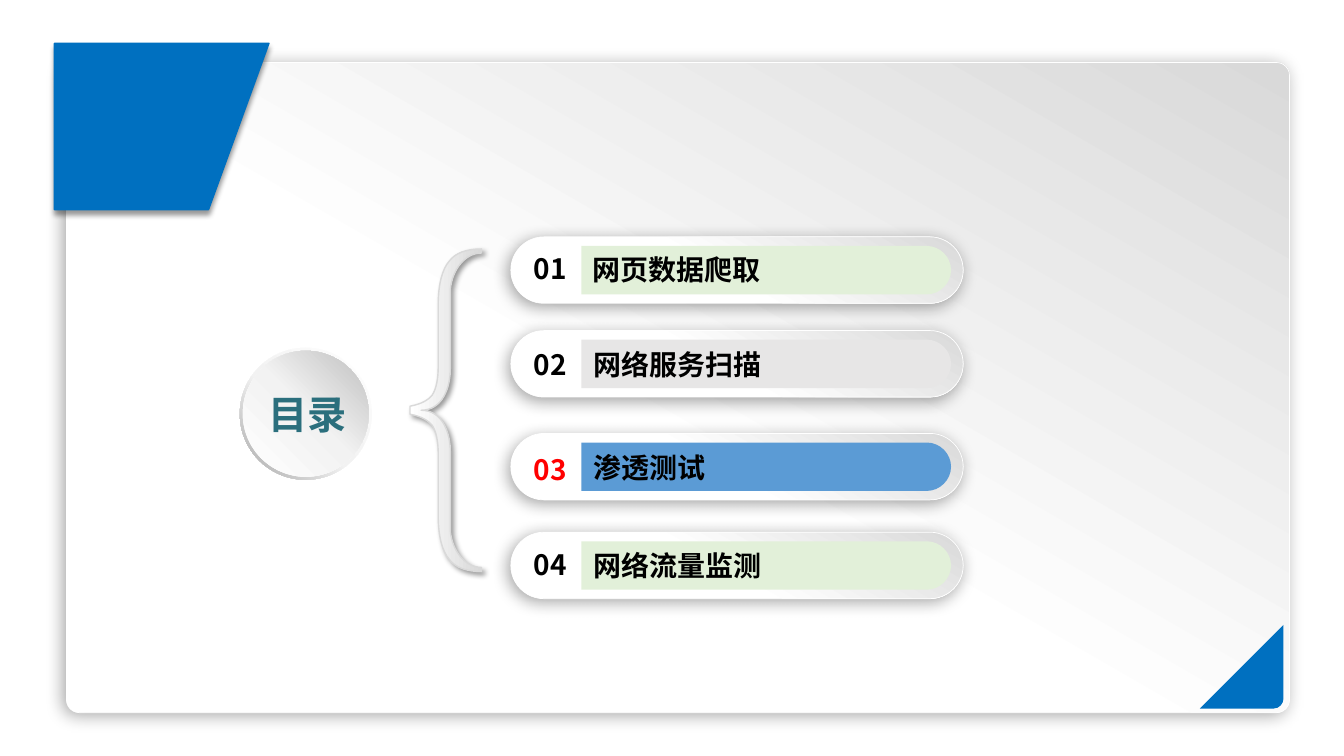
from pptx import Presentation
from pptx.dml.color import RGBColor
from pptx.enum.shapes import MSO_SHAPE as PRESET
from pptx.enum.text import MSO_ANCHOR as ANCHOR, MSO_AUTO_SIZE as AUTO, PP_ALIGN as ALIGN
from pptx.oxml import parse_xml
from pptx.oxml.ns import nsdecls, qn
from pptx.util import Inches, Pt

TYPEFACE = "Noto Sans CJK SC"
BLUE = "0070C0"
CARD = {
    "fill": ([(45, "FFFFFF"), (100, "D9D9D9")], 300),
    "line": ("FFFFFF", 0.5),
    "shadow": (34, 12, 3, 135),
}
TOPICS = [
    ("01", "网页数据爬取", 2.35, "E2F0D9", "000000", (5.2, 2.45), (5.78, 2.46)),
    ("02", "网络服务扫描", 3.28, "E7E6E6", "000000", (5.2, 3.4), (5.79, 3.4)),
    ("03", "渗透测试", 4.3, "5B9BD5", "FF0000", (5.2, 4.44), (5.79, 4.42)),
    ("04", "网络流量监测", 5.28, "E2F0D9", "000000", (5.2, 5.38), (5.79, 5.39)),
]


def color(code):
    """Turn a hex string into a colour."""
    return RGBColor.from_string(code)


def paint_gradient(shape, stops, clockwise):
    """Fill a shape with a linear gradient running at a clockwise angle."""
    shape.fill.gradient()
    shape.fill.gradient_angle = (360 - clockwise) % 360
    stop_list = shape.element.spPr.find(qn("a:gradFill")).find(qn("a:gsLst"))
    for default_stop in list(stop_list):
        stop_list.remove(default_stop)
    for percent, code in stops:
        stop_list.append(parse_xml(
            f'<a:gs {nsdecls("a")} pos="{percent * 1000}"><a:srgbClr val="{code}"/></a:gs>'))


def cast_shadow(shape, opacity, blur, distance, direction):
    """Give a shape a soft black outer shadow."""
    effects = shape.element.spPr.find(qn("a:effectLst"))
    effects.append(parse_xml(
        f'<a:outerShdw {nsdecls("a")} blurRad="{Pt(blur)}" dist="{Pt(distance)}" '
        f'dir="{direction * 60000}" algn="ctr" rotWithShape="0"><a:srgbClr val="000000">'
        f'<a:alpha val="{opacity * 1000}"/></a:srgbClr></a:outerShdw>'))


def style(shape, fill, line=None, shadow=None):
    """Set the fill, outline and shadow of a shape."""
    shape.shadow.inherit = False
    if isinstance(fill, str):
        shape.fill.solid()
        shape.fill.fore_color.rgb = color(fill)
    else:
        paint_gradient(shape, *fill)
    if line:
        shape.line.color.rgb = color(line[0])
        shape.line.width = Pt(line[1])
    else:
        shape.line.fill.background()
    if shadow:
        cast_shadow(shape, *shadow)


def add_preset(canvas, preset, box, adjustment=None, **look):
    """Add a styled preset shape."""
    shape = canvas.add_shape(preset, *map(Inches, box))
    if adjustment is not None:
        shape.adjustments[0] = adjustment
    style(shape, **look)


def point_pairs(step):
    """Split a flat step into its x and y pairs."""
    return list(zip(step[::2], step[1::2]))


def add_outline(canvas, steps, **look):
    """Add a styled closed freeform of corners and cubic curves."""
    corners = [tuple(map(Inches, step[-2:])) for step in steps]
    builder = canvas.build_freeform(*corners[0], scale=1.0)
    builder.add_line_segments(corners[1:], close=True)
    shape = builder.convert_to_shape()
    left, top = (min(values) for values in zip(*corners))
    segments = list(next(shape.element.iter(qn("a:path"))))
    for step, segment in zip(steps, segments):
        if len(step) == 6:
            points = "".join(f'<a:pt x="{Inches(x) - left}" y="{Inches(y) - top}"/>'
                             for x, y in point_pairs(step))
            segment.getparent().replace(segment, parse_xml(
                f'<a:cubicBezTo {nsdecls("a")}>{points}</a:cubicBezTo>'))
    style(shape, **look)


def mirror(steps, axis):
    """Return the steps reversed and flipped about a horizontal axis."""
    def flip(pairs):
        return tuple(value for x, y in pairs for value in (x, 2 * axis - y))

    flipped = [flip([steps[-1][-2:]])]
    for before, step in zip(steps[-2::-1], steps[:0:-1]):
        flipped.append(flip(point_pairs(step)[-2::-1] * (len(step) == 6) + [before[-2:]]))
    return flipped


def write(holder, text, size, code, align=ALIGN.LEFT):
    """Write one bold line into a text holder."""
    paragraph = holder.text_frame.paragraphs[0]
    paragraph.alignment = align
    run = paragraph.add_run()
    run.text = text
    formats = {"size": Pt(size), "bold": True, "name": TYPEFACE}
    for key, value in formats.items():
        setattr(run.font, key, value)
    run.font.color.rgb = color(code)
    run.font._element.append(parse_xml(f'<a:ea {nsdecls("a")} typeface="{TYPEFACE}"/>'))


def add_label(canvas, box, text, code):
    """Add an unwrapped line of topic text."""
    label = canvas.add_textbox(*map(Inches, box))
    label.text_frame.word_wrap = False
    label.text_frame.auto_size = AUTO.SHAPE_TO_FIT_TEXT
    write(label, text, 20, code)


def add_topic(slide, number, name, top, band_color, number_color, number_at, name_at):
    """Add one grouped agenda pill with its number and name."""
    canvas = slide.shapes.add_group_shape().shapes
    add_preset(canvas, PRESET.ROUNDED_RECTANGLE, (5.07, top, 4.49, 0.66), 0.5, **CARD)
    upper, middle, lower = top + 0.09, top + 0.33, top + 0.57
    band = [(5.77, upper), (9.2, upper),
            (9.33, upper, 9.44, middle - 0.13, 9.44, middle),
            (9.44, middle + 0.13, 9.33, lower, 9.2, lower), (5.77, lower)]
    add_outline(canvas, band, fill=band_color)
    add_label(canvas, (*number_at, 0.55, 0.44), number, number_color)
    add_label(canvas, (*name_at, 0.2 + 0.28 * len(name), 0.44), name, "000000")


def add_backdrop(slide):
    """Add the card with its blue tag and blue corner."""
    canvas = slide.shapes
    add_preset(canvas, PRESET.ROUNDED_RECTANGLE, (0.66, 0.62, 12.14, 6.45), 0.02, **CARD)
    corner = [(12.74, 6.2), (12.74, 6.93), (12.74, 6.98, 12.7, 7.03, 12.64, 7.03), (11.91, 7.03)]
    add_outline(canvas, corner, fill=BLUE)
    tag = [(2.67, 0.43), (0.54, 0.43), (0.54, 2.08), (2.07, 2.08)]
    add_outline(canvas, tag, fill=BLUE, line=(BLUE, 1), shadow=(40, 4, 3, 90))


def add_brace(slide):
    """Add the curly brace, its lower half mirroring the upper."""
    upper = [
        (4.07, 4.03), (4.18, 4.01, 4.25, 3.97, 4.29, 3.92),
        (4.33, 3.86, 4.35, 3.76, 4.35, 3.63), (4.35, 3.02),
        (4.35, 2.82, 4.39, 2.67, 4.46, 2.59), (4.52, 2.51, 4.63, 2.47, 4.78, 2.47),
        (4.78, 2.51), (4.62, 2.51, 4.49, 2.67, 4.47, 2.87), (4.47, 2.97),
        (4.47, 3.66), (4.47, 3.85, 4.39, 4.07, 4.18, 4.07)]
    add_outline(slide.shapes, upper + mirror(upper, 4.07),
                fill=([(0, "FFFFFF"), (100, "D9D9D9")], 0),
                line=("D9D9D9", 1), shadow=(40, 4, 3, 45))


def add_heading(slide):
    """Add the round badge and set the title on it."""
    badge = slide.shapes.add_group_shape().shapes
    add_preset(badge, PRESET.DONUT, (2.38, 3.45, 1.31, 1.31), 0.049,
               fill=([(0, "FFFFFF"), (55, "F2F2F2"), (100, "A6A6A6")], 135))
    add_preset(badge, PRESET.OVAL, (2.41, 3.48, 1.25, 1.25),
               fill=([(0, "FFFFFF"), (51, "F2F2F2"), (100, "BFBFBF")], 315))
    title = slide.shapes.title
    title.element.getparent().append(title.element)
    for side, value in zip(("left", "top", "width", "height"), (2.36, 3.87, 1.38, 0.47)):
        setattr(title, side, Inches(value))
    for side in ("left", "top", "right", "bottom"):
        setattr(title.text_frame, f"margin_{side}", 0)
    title.text_frame.vertical_anchor = ANCHOR.TOP
    title.text_frame.auto_size = AUTO.SHAPE_TO_FIT_TEXT
    write(title, "目录", 28, "2B6F7D", ALIGN.CENTER)


def main():
    """Build the agenda slide."""
    deck = Presentation()
    deck.slide_width, deck.slide_height = Inches(13.34), Inches(7.5)
    slide = deck.slides.add_slide(deck.slide_layouts[5])
    add_backdrop(slide)
    add_heading(slide)
    add_brace(slide)
    for topic in TOPICS:
        add_topic(slide, *topic)
    deck.save("out.pptx")


if __name__ == "__main__":
    main()
